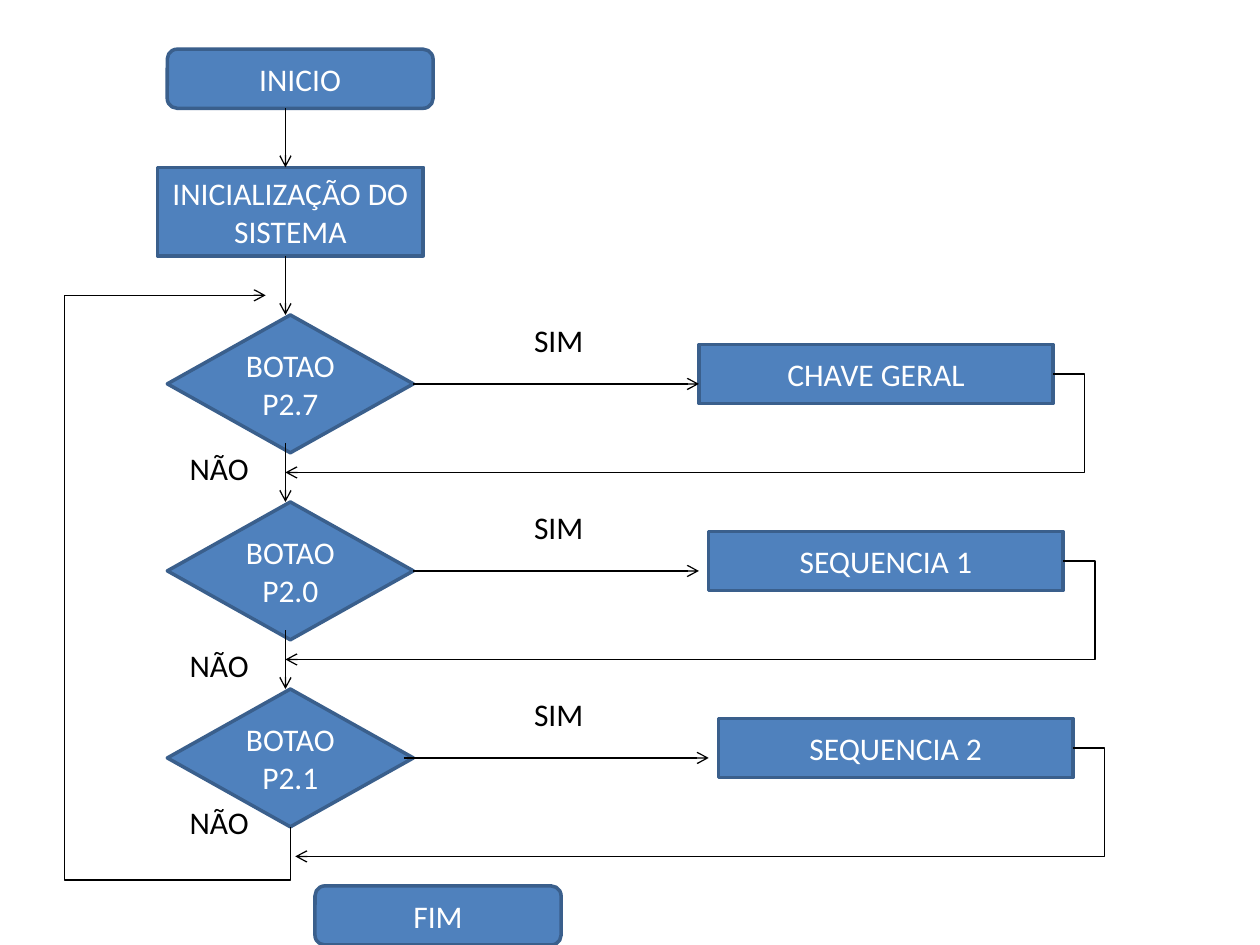
from lxml import etree
from pptx import Presentation
from pptx.dml.color import RGBColor
from pptx.enum.shapes import MSO_CONNECTOR, MSO_SHAPE
from pptx.enum.text import MSO_ANCHOR, MSO_AUTO_SIZE, PP_ALIGN
from pptx.oxml.ns import qn
from pptx.util import Inches, Pt

STRAIGHT, ELBOW = MSO_CONNECTOR.STRAIGHT, MSO_CONNECTOR.ELBOW
RECT, ROUNDED, DIAMOND = MSO_SHAPE.RECTANGLE, MSO_SHAPE.ROUNDED_RECTANGLE, MSO_SHAPE.DIAMOND
COLORS = {"fill": "4F81BD", "border": "3A5F8C", "node_text": "FFFFFF", "ink": "000000"}
FONT = "Calibri"

# The slide is a grid of 128 by 96 square cells
COLUMNS = 128
CELL = 10 / COLUMNS
ROW_PITCH = 19
FLOW_X = 29
RIGHT_SIDE = 3


def cells(count):
    return Inches(count * CELL)


def color(key):
    return RGBColor.from_string(COLORS[key])


def set_text(frame, text, color_key):
    frame.word_wrap = True
    paragraph = frame.paragraphs[0]
    paragraph.text = text
    paragraph.font.name = FONT
    paragraph.font.size = Pt(18)
    paragraph.font.color.rgb = color(color_key)
    return paragraph


def add_node(slide, kind, text, *box):
    node = slide.shapes.add_shape(kind, *map(cells, box))
    node.shadow.inherit = False
    node.fill.solid()
    node.fill.fore_color.rgb = color("fill")
    node.line.color.rgb = color("border")
    node.line.width = Pt(2)
    node.text_frame.vertical_anchor = MSO_ANCHOR.MIDDLE
    set_text(node.text_frame, text, "node_text").alignment = PP_ALIGN.CENTER
    return node


def add_label(slide, text, left, top, width):
    label = slide.shapes.add_textbox(*map(cells, (left, top, width, 5.17)))
    set_text(label.text_frame, text, "ink")
    label.text_frame.auto_size = MSO_AUTO_SIZE.SHAPE_TO_FIT_TEXT


def add_arrow(slide, start, end, kind=STRAIGHT):
    arrow = slide.shapes.add_connector(kind, *map(cells, (*start, *end)))
    arrow.line.color.rgb = color("ink")
    arrow.line.width = Pt(0.75)
    properties = arrow._element.spPr
    etree.SubElement(properties.find(qn("a:ln")), qn("a:tailEnd"), type="arrow")
    etree.SubElement(properties, qn("a:effectLst"))
    return arrow


def set_bends(arrow, preset, bends):
    geometry = arrow._element.spPr.find(qn("a:prstGeom"))
    geometry.set("prst", preset)
    guides = geometry.find(qn("a:avLst"))
    if guides is None:
        guides = etree.SubElement(geometry, qn("a:avLst"))
    for number, bend in enumerate(bends, 1):
        etree.SubElement(guides, qn("a:gd"), name=f"adj{number}",
                         fmla=f"val {round(bend * 100000)}")


def add_return(slide, start, end):
    """Path that leaves an action to the right and runs back to the main flow."""
    arrow = add_arrow(slide, start, end, ELBOW)
    set_bends(arrow, "bentConnector3", [-3.2 / (start[0] - end[0])])


def add_loop(slide):
    """Path from the last decision back to the first, as a quarter-turned connector."""
    arrow = add_arrow(slide, (55.25, 55.75), (1.25, 58.25), ELBOW)
    arrow._element.spPr.find(qn("a:xfrm")).set("rot", str(90 * 60000))
    set_bends(arrow, "bentConnector5", [-0.1, 9.19, 1])


def add_decision(slide, index, question, action, yes_span, return_end, no_label):
    top = 32 + index * ROW_PITCH
    action_left = 71 + index
    decision = add_node(slide, DIAMOND, question, 17, top, 25, 14)
    add_node(slide, RECT, action, action_left, top + 3, 36, 6)

    # Yes branch and its way back
    yes_start, yes_end = yes_span
    yes = add_arrow(slide, (yes_start, top + 7), (yes_end, top + 7))
    if yes_start == 42:
        yes.begin_connect(decision, RIGHT_SIDE)
    add_return(slide, (action_left + 36, top + 6), return_end)
    add_label(slide, "SIM", 53, top, 8)

    # No branch
    add_label(slide, "NÃO", 18, *no_label)


def main():
    presentation = Presentation()
    presentation.slide_width, presentation.slide_height = Inches(10), Inches(7.5)
    slide = presentation.slides.add_slide(presentation.slide_layouts[6])

    # Start and set-up
    add_node(slide, ROUNDED, "INICIO", 17, 5, 27, 6)
    add_node(slide, RECT, "INICIALIZAÇÃO DO SISTEMA", 16, 17, 27, 9)

    # Decisions: question, action, yes arrow span, return end, no label (top, width)
    decisions = [
        ("BOTAO P2.7", "CHAVE GERAL", (42, 71), (FLOW_X, 48), (45, 13)),
        ("BOTAO P2.0", "SEQUENCIA 1", (42, 71), (FLOW_X, 67), (65, 9)),
        ("BOTAO P2.1", "SEQUENCIA 2", (41, 72), (FLOW_X + 1, 87), (81, 9)),
    ]
    for index, decision in enumerate(decisions):
        add_decision(slide, index, *decision)

    # Main flow downwards
    for top in (11, 26, 45, 64):
        add_arrow(slide, (FLOW_X, top), (FLOW_X, top + 6))

    # Loop and end
    add_loop(slide)
    add_node(slide, ROUNDED, "FIM", 32, 90, 25, 6)
    presentation.save("out.pptx")


if __name__ == "__main__":
    main()
